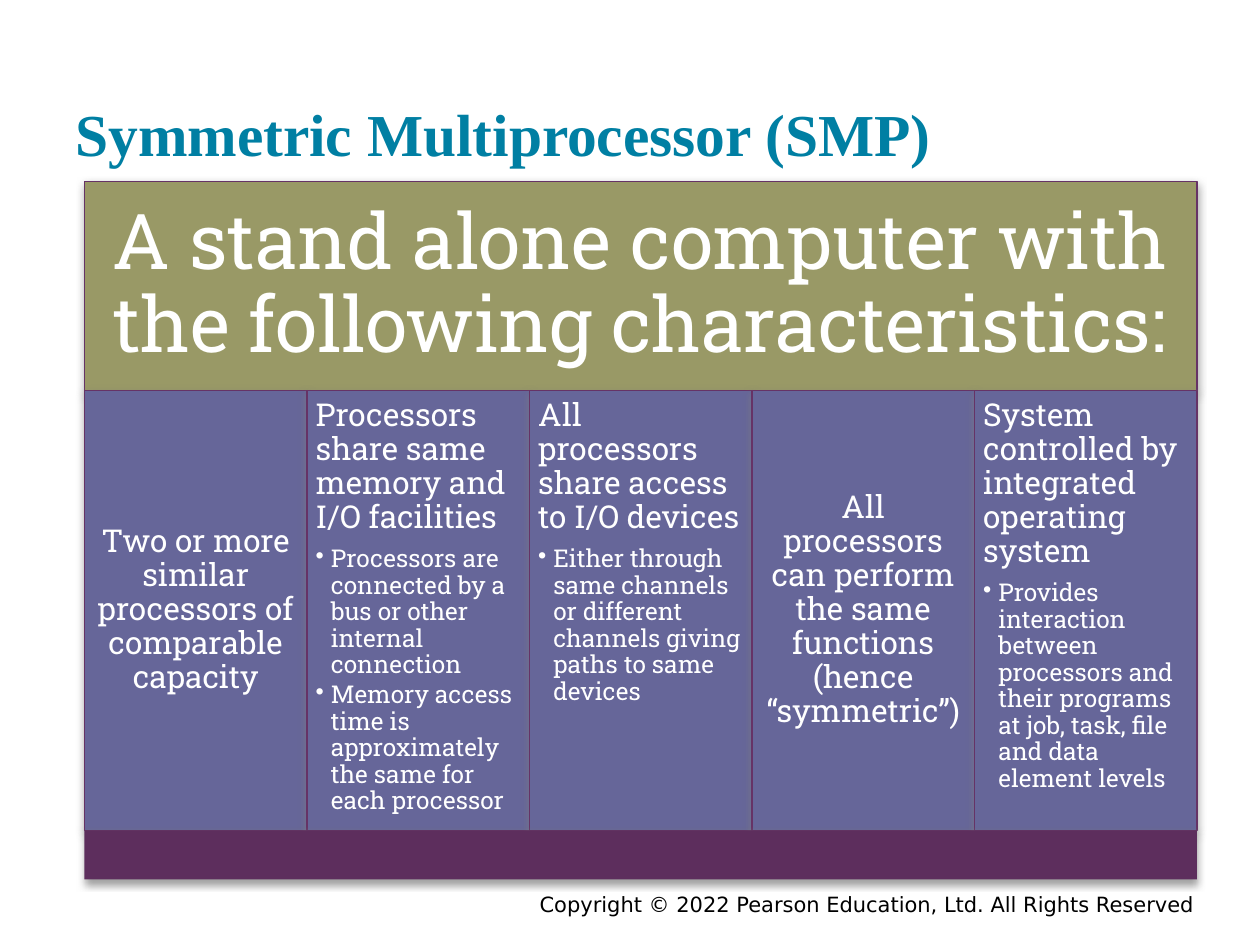
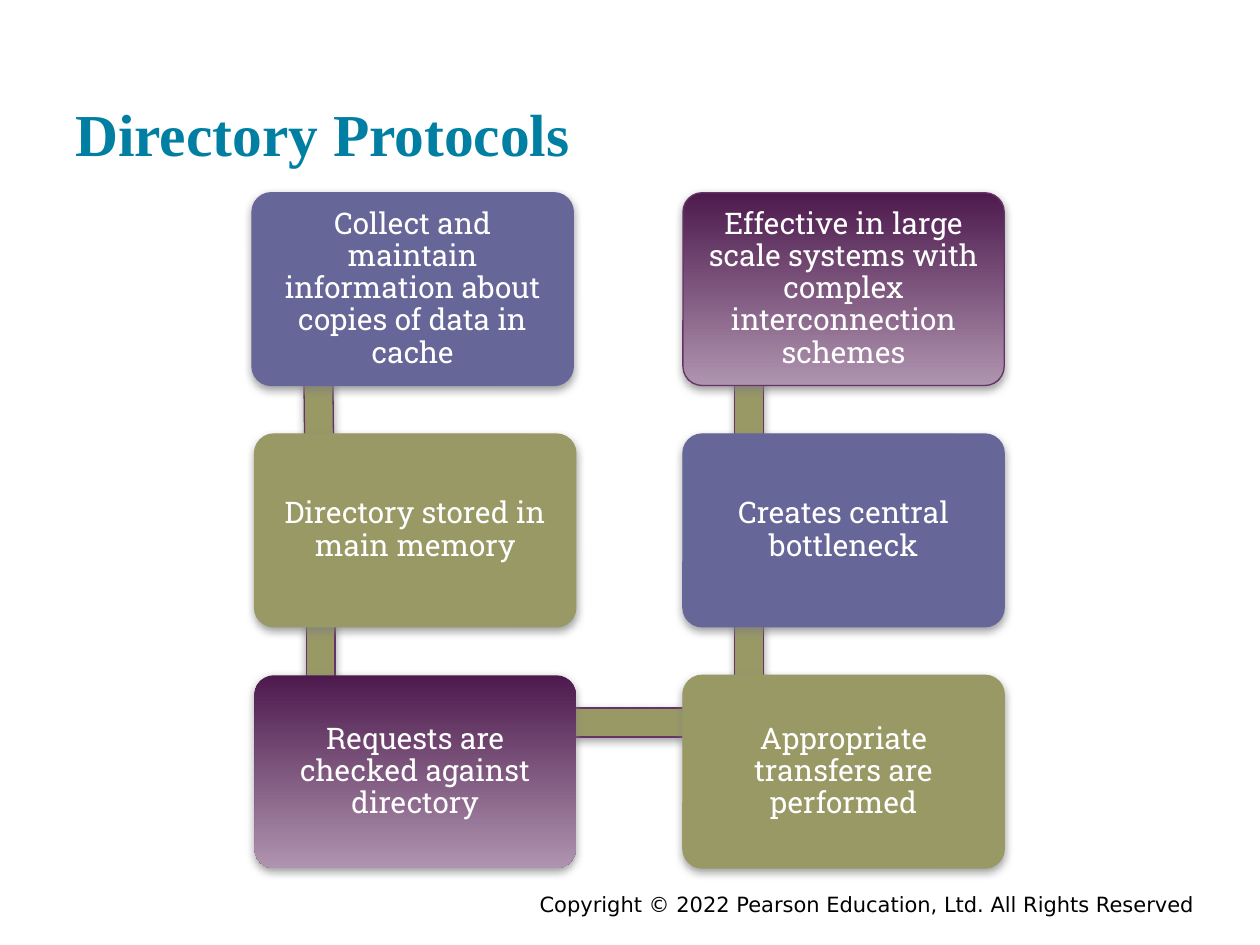
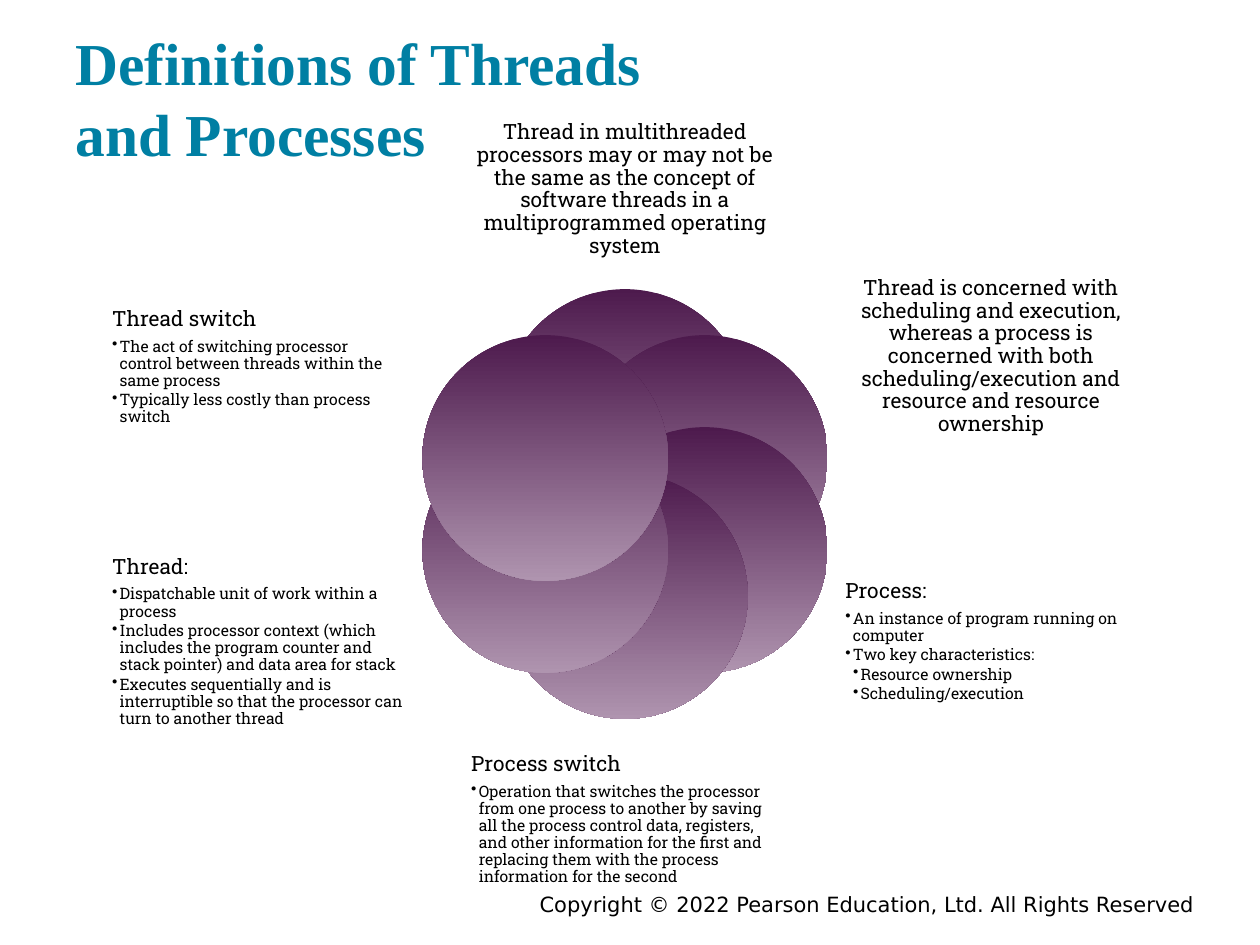
from dataclasses import dataclass
from math import cos, radians, sin
from typing import NamedTuple, Optional

from lxml import etree
from pptx import Presentation
from pptx.dml.color import RGBColor
from pptx.enum.shapes import MSO_SHAPE
from pptx.enum.text import MSO_ANCHOR, PP_ALIGN
from pptx.oxml.ns import qn
from pptx.util import Inches, Pt

RECT, ROUND, OVAL = MSO_SHAPE.RECTANGLE, MSO_SHAPE.ROUNDED_RECTANGLE, MSO_SHAPE.OVAL
LEFT, MID, RIGHT = PP_ALIGN.LEFT, PP_ALIGN.CENTER, PP_ALIGN.RIGHT
TOP, CORE, BASE = MSO_ANCHOR.TOP, MSO_ANCHOR.MIDDLE, MSO_ANCHOR.BOTTOM


@dataclass(frozen=True)
class Theme:
    teal: str = "007FA3"
    olive: str = "999966"
    slate: str = "666699"
    plum: str = "663366"
    foot: str = "5D2E5D"
    fade: tuple = ("4D1A4D", "AF94AF")
    shade: str = "808080"
    white: str = "FFFFFF"
    black: str = "000000"
    serif: str = "Times New Roman"
    slab: str = "Roboto Slab"
    sans: str = "DejaVu Sans"
    title: float = 34
    banner: float = 44
    head: float = 18
    point: float = 14
    node: float = 17
    note: float = 12
    small: float = 9
    edge: float = 0.75
    tight: float = 0.9


THEME = Theme()


class Area(NamedTuple):
    left: float
    top: float
    width: float
    height: float


class Style(NamedTuple):
    size: float
    color: str
    font: str = THEME.slab
    bold: bool = False
    align: int = LEFT
    line: Optional[float] = THEME.tight
    after: float = 0.35
    level: int = 0
    indent: float = 0


class Line(NamedTuple):
    text: str
    style: Style


class Bar(NamedTuple):
    area: Area
    turn: float = 0


class Node(NamedTuple):
    left: float
    row: int
    text: str
    fill: object
    edge: Optional[str]
    bar: Optional[Bar] = None


class Note(NamedTuple):
    area: Area
    lines: list


TITLE = Style(THEME.title, THEME.teal, THEME.serif, True, line=None, after=0)
COPY = Style(THEME.note, THEME.black, THEME.sans, align=RIGHT, line=None, after=0)
BANNER = Style(THEME.banner, THEME.white, align=MID)
HEAD = Style(THEME.head, THEME.white)
POINT = Style(THEME.point, THEME.white, after=0.15, level=1, indent=0.12)
NODE = Style(THEME.node, THEME.white, align=MID)
NOTE = Style(THEME.note, THEME.black)
ITEM = Style(THEME.small, THEME.black, after=0.15, level=1, indent=0.06)
SUB = ITEM._replace(level=2)


def put(item, values: dict) -> None:
    for name, value in values.items():
        setattr(item, name, value)


def place(area: Area) -> list:
    return [Inches(size) for size in area]


def dot(para, style: Style) -> None:
    props = para._p.get_or_add_pPr()
    props.set("marL", str(Inches(style.indent * style.level)))
    props.set("indent", str(-Inches(style.indent)))
    etree.SubElement(props, qn("a:buChar")).set("char", "•")


def write(shape, lines: list, anchor: int, pad: tuple) -> None:
    frame = shape.text_frame
    side, edge = (Inches(size) for size in pad)
    put(frame, {"word_wrap": True, "vertical_anchor": anchor,
                "margin_left": side, "margin_right": side,
                "margin_top": edge, "margin_bottom": edge})
    for index, (text, style) in enumerate(lines):
        para = frame.add_paragraph() if index else frame.paragraphs[0]
        if style.level:
            dot(para, style)
        put(para, {"text": text, "alignment": style.align, "level": style.level,
                   "line_spacing": style.line,
                   "space_after": Pt(style.size * style.after)})
        for run in para.runs:
            put(run.font, {"size": Pt(style.size), "name": style.font, "bold": style.bold})
            run.font.color.rgb = RGBColor.from_string(style.color)


def label(slide, area: Area, lines: list, anchor: int, pad: tuple) -> None:
    write(slide.shapes.add_textbox(*place(area)), lines, anchor, pad)


def paint(fill, color) -> None:
    if isinstance(color, tuple):
        fill.gradient()
        fill.gradient_angle = 270
        for index, (stop, tone) in enumerate(zip(fill.gradient_stops, color)):
            stop.position = index
            stop.color.rgb = RGBColor.from_string(tone)
    else:
        fill.solid()
        fill.fore_color.rgb = RGBColor.from_string(color)


def cast(shape) -> None:
    effect = shape._element.spPr.find(qn("a:effectLst"))
    outer = etree.SubElement(effect, qn("a:outerShdw"))
    for name, value in {"blurRad": Pt(5), "dist": Pt(2), "dir": 5400000,
                        "rotWithShape": 0}.items():
        outer.set(name, str(value))
    tone = etree.SubElement(outer, qn("a:srgbClr"))
    tone.set("val", THEME.shade)
    etree.SubElement(tone, qn("a:alpha")).set("val", "75000")


def draw(slide, kind: int, area: Area, fill, edge: Optional[str] = None,
         shadow: bool = True):
    shape = slide.shapes.add_shape(kind, *place(area))
    shape.shadow.inherit = False
    paint(shape.fill, fill)
    if edge:
        paint(shape.line.fill, edge)
        shape.line.width = Pt(THEME.edge)
    else:
        shape.line.fill.background()
    if shadow:
        cast(shape)
    return shape


def start(deck, title: str):
    slide = deck.slides.add_slide(deck.slide_layouts[6])
    label(slide, Area(1.75, 7.03, 7.83, 0.22),
          [Line("Copyright © 2022 Pearson Education, Ltd. All Rights Reserved", COPY)],
          TOP, (0.1, 0.05))
    label(slide, Area(0.5, 0.24, 9, 1.2), [Line(title, TITLE)], BASE, (0.1, 0.1))
    return slide


TRAITS = [
    ["Two or more similar processors of comparable capacity"],
    ["Processors share same memory and I/O facilities",
     "Processors are connected by a bus or other internal connection",
     "Memory access time is approximately the same for each processor"],
    ["All processors share access to I/O devices",
     "Either through same channels or different channels giving paths to same devices"],
    ["All processors can perform the same functions (hence “symmetric”)"],
    ["System controlled by integrated operating system",
     "Provides interaction between processors and their programs at job, task, file "
     "and data element levels"],
]


def traits(deck) -> None:
    slide = start(deck, "Symmetric Multiprocessor (SMP)")
    left, width = 0.67, 8.83
    banner = draw(slide, RECT, Area(left, 1.44, width, 1.66), THEME.olive, THEME.plum)
    write(banner, [Line("A stand alone computer with the following characteristics:", BANNER)],
          CORE, (0.18, 0.18))
    step = width / len(TRAITS)
    for index, (head, *points) in enumerate(TRAITS):
        panel = draw(slide, RECT, Area(left + index * step, 3.1, step, 3.49),
                     THEME.slate, THEME.plum)
        style = HEAD if points else HEAD._replace(align=MID)
        lines = [Line(head, style)] + [Line(text, POINT) for text in points]
        write(panel, lines, TOP if points else CORE, (0.07, 0.07))
    draw(slide, RECT, Area(left, 6.59, width, 0.39), THEME.foot)


def post(left: float, row: int, turn: float) -> Bar:
    return Bar(Area(left, 2.75 + 1.92 * row, 1.91, 0.23), turn)


NODES = [
    Node(2, 0, "Collect and maintain information about copies of data in cache",
         THEME.slate, THEME.slate, post(1.57, 0, 89.4)),
    Node(2.02, 1, "Directory stored in main memory",
         THEME.olive, THEME.olive, post(1.59, 1, 90)),
    Node(2.02, 2, "Requests are checked against directory",
         THEME.fade, None, Bar(Area(2.55, 5.62, 3.39, 0.23))),
    Node(5.42, 2, "Appropriate transfers are performed",
         THEME.olive, THEME.olive, post(4.99, 1, 270)),
    Node(5.42, 1, "Creates central bottleneck",
         THEME.slate, THEME.slate, post(4.99, 0, 270)),
    Node(5.42, 0, "Effective in large scale systems with complex interconnection schemes",
         THEME.fade, THEME.plum),
]


def steps(deck) -> None:
    slide = start(deck, "Directory Protocols")
    for node in NODES:
        if node.bar:
            bar = draw(slide, RECT, node.bar.area, THEME.olive, THEME.plum)
            bar.rotation = node.bar.turn
        box = draw(slide, ROUND, Area(node.left, 1.53 + 1.915 * node.row, 2.55, 1.53),
                   node.fill, node.edge)
        box.adjustments[0] = 0.1
        write(box, [Line(node.text, NODE)], CORE, (0.07, 0.07))


NOTES = [
    Note(Area(3.74, 0.84, 2.44, 1.33), [
        Line("Thread in multithreaded processors may or may not be the same as the concept "
             "of software threads in a multiprogrammed operating system",
             NOTE._replace(align=MID))]),
    Note(Area(6.71, 2.1, 2.31, 1.46), [
        Line("Thread is concerned with scheduling and execution, whereas a process is "
             "concerned with both scheduling/execution and resource and resource ownership",
             NOTE._replace(align=MID))]),
    Note(Area(6.71, 4.28, 2.31, 1.63), [
        Line("Process:", NOTE),
        Line("An instance of program running on computer", ITEM),
        Line("Two key characteristics:", ITEM),
        Line("Resource ownership", SUB),
        Line("Scheduling/execution", SUB)]),
    Note(Area(3.74, 5.84, 2.44, 1.33), [
        Line("Process switch", NOTE),
        Line("Operation that switches the processor from one process to another by saving "
             "all the process control data, registers, and other information for the first "
             "and replacing them with the process information for the second", ITEM)]),
    Note(Area(0.89, 4.28, 2.31, 1.63), [
        Line("Thread:", NOTE),
        Line("Dispatchable unit of work within a process", ITEM),
        Line("Includes processor context (which includes the program counter and stack "
             "pointer) and data area for stack", ITEM),
        Line("Executes sequentially and is interruptible so that the processor can turn "
             "to another thread", ITEM)]),
    Note(Area(0.89, 2.1, 2.31, 1.63), [
        Line("Thread switch", NOTE),
        Line("The act of switching processor control between threads within the same "
             "process", ITEM),
        Line("Typically less costly than process switch", ITEM)]),
]


def petals(deck) -> None:
    slide = start(deck, "Definitions of Threads\vand Processes")
    size, reach = 1.95, 0.73
    for index, note in enumerate(NOTES):
        angle = radians(index * 360 / len(NOTES))
        left = 4.96 + reach * sin(angle) - size / 2
        top = 4 - reach * cos(angle) - size / 2
        draw(slide, OVAL, Area(left, top, size, size), THEME.fade, shadow=False)
        label(slide, note.area, note.lines, CORE, (0, 0))


def main() -> None:
    deck = Presentation()
    put(deck, {"slide_width": Inches(10), "slide_height": Inches(7.5)})
    for build in (traits, steps, petals):
        build(deck)
    deck.save("out.pptx")


if __name__ == "__main__":
    main()
